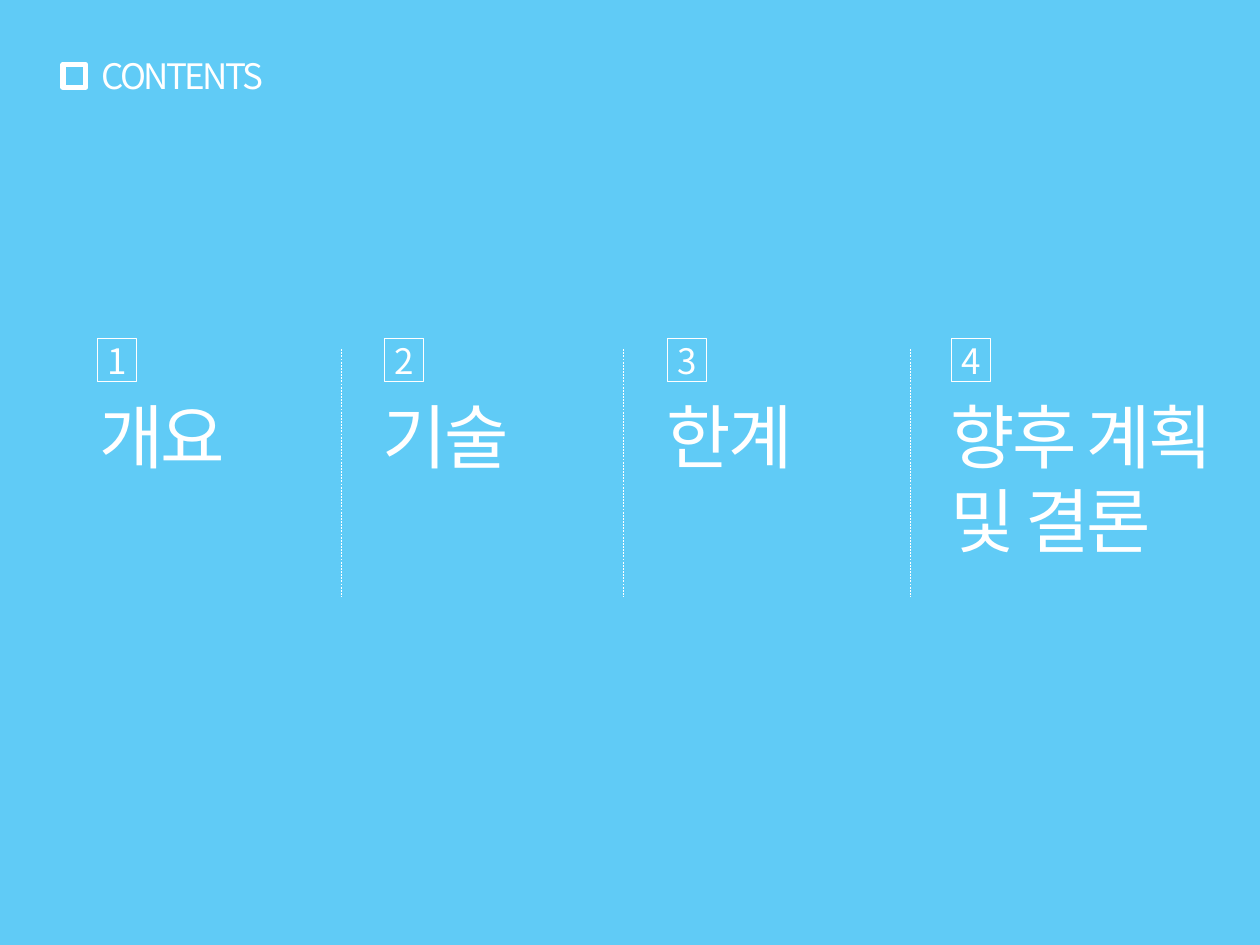
from dataclasses import dataclass

from lxml.etree import SubElement
from pptx import Presentation
from pptx.dml.color import RGBColor
from pptx.enum.dml import MSO_LINE
from pptx.enum.shapes import MSO_CONNECTOR, MSO_SHAPE
from pptx.enum.text import MSO_ANCHOR, MSO_AUTO_SIZE, PP_ALIGN
from pptx.oxml.ns import qn
from pptx.util import Cm, Pt


@dataclass(frozen=True)
class Theme:
    background: RGBColor = RGBColor(0x60, 0xCB, 0xF6)
    white: RGBColor = RGBColor(0xFF, 0xFF, 0xFF)
    font: str = "Noto Sans CJK KR"
    small: int = 20
    large: int = 40
    tight: int = -150


theme = Theme()


def write_text(shape, text, size, spacing=None, align=PP_ALIGN.LEFT,
               line_spacing=None, wrap=True, grow=True):
    frame = shape.text_frame
    frame.word_wrap = wrap
    frame.auto_size = MSO_AUTO_SIZE.SHAPE_TO_FIT_TEXT if grow else MSO_AUTO_SIZE.NONE
    frame.text = text
    for paragraph in frame.paragraphs:
        paragraph.alignment = align
        if line_spacing:
            paragraph.line_spacing = line_spacing
        for run in paragraph.runs:
            run.font.size = Pt(size)
            run.font.name = theme.font
            run.font.color.rgb = theme.white
            properties = run.font._element
            SubElement(properties, qn("a:ea")).set("typeface", theme.font)
            if spacing is not None:
                properties.set("spc", str(spacing))


def add_outlined_box(shapes, left, top, width, height, line_width):
    box = shapes.add_shape(MSO_SHAPE.RECTANGLE, Cm(left), Cm(top), Cm(width), Cm(height))
    box.shadow.inherit = False
    box.fill.background()
    box.line.color.rgb = theme.white
    box.line.width = Pt(line_width)
    return box


# Slide and background
presentation = Presentation()
presentation.slide_width = Cm(25.4)
presentation.slide_height = Cm(19.05)
slide = presentation.slides.add_slide(presentation.slide_layouts[6])
slide.background.fill.solid()
slide.background.fill.fore_color.rgb = theme.background
shapes = slide.shapes

# Heading with its square marker
add_outlined_box(shapes, 1.27, 1.3, 0.46, 0.46, line_width=3)
heading = shapes.add_textbox(Cm(1.8), Cm(1.07), Cm(21.79), Cm(1.88))
write_text(heading, "CONTENTS", theme.small, spacing=theme.tight,
           line_spacing=0.9, grow=False)

# Chapters: left edge of the number box, label, label width and height
chapters = [
    (1.96, "개요", 3.25, 1.96),
    (7.75, "기술", 3.25, 1.96),
    (13.46, "한계", 3.25, 1.96),
    (19.18, "향후 계획\n및 결론", 6.83, 3.68),
]
label_left, label_pitch = 1.75, 5.72
for index, (number_left, label, width, height) in enumerate(chapters):
    number_box = add_outlined_box(shapes, number_left, 6.83, 0.79, 0.86, line_width=0.75)
    frame = number_box.text_frame
    frame.margin_left = frame.margin_right = frame.margin_top = frame.margin_bottom = 0
    frame.vertical_anchor = MSO_ANCHOR.MIDDLE
    write_text(number_box, str(index + 1), theme.small, align=PP_ALIGN.CENTER)

    label_box = shapes.add_textbox(Cm(label_left + index * label_pitch), Cm(7.8),
                                   Cm(width), Cm(height))
    write_text(label_box, label, theme.large, spacing=theme.tight, wrap=False)

# Dashed dividers between the chapters
for divider_left in (6.88, 12.57, 18.34):
    divider = shapes.add_connector(MSO_CONNECTOR.STRAIGHT, Cm(divider_left), Cm(7.04),
                                   Cm(divider_left), Cm(12.04))
    divider.line.color.rgb = theme.white
    divider.line.width = Pt(0.25)
    divider.line.dash_style = MSO_LINE.DASH
    SubElement(divider._element.spPr, qn("a:effectLst"))

presentation.save("out.pptx")
